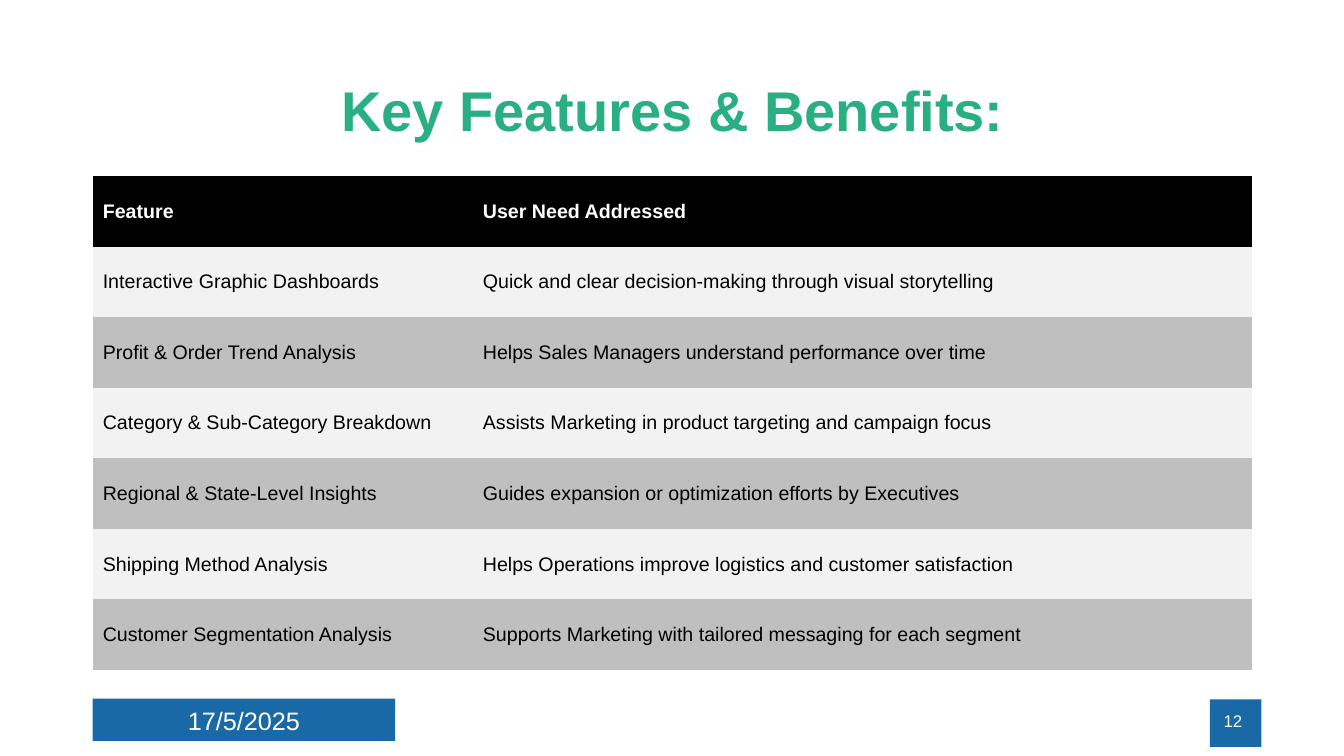
import pptx
import pptx.util
import pptx.dml.color
import pptx.enum.shapes
import pptx.enum.text
import pptx.oxml.ns

HUES = {"blue": "1869A6", "green": "2AAF82", "white": "FFFFFF",
        "black": "000000", "pale": "F2F2F2", "gray": "BFBFBF"}
ALIGN = pptx.enum.text.PP_ALIGN
MID = pptx.enum.text.MSO_ANCHOR.MIDDLE
PLAIN = "{2D5ABB26-0587-4C30-8999-92F81FD0307C}"  # no style, no grid

ROWS = [
    ("Feature", "User Need Addressed"),
    ("Interactive Graphic Dashboards",
     "Quick and clear decision-making through visual storytelling"),
    ("Profit & Order Trend Analysis",
     "Helps Sales Managers understand performance over time"),
    ("Category & Sub-Category Breakdown",
     "Assists Marketing in product targeting and campaign focus"),
    ("Regional & State-Level Insights",
     "Guides expansion or optimization efforts by Executives"),
    ("Shipping Method Analysis",
     "Helps Operations improve logistics and customer satisfaction"),
    ("Customer Segmentation Analysis",
     "Supports Marketing with tailored messaging for each segment"),
]


class Page:
    """Style and slide; lengths are percent of slide width and height."""

    font = "Arial"

    def __init__(self, deck):
        self.wide, self.high = deck.slide_width, deck.slide_height
        self.slide = deck.slides.add_slide(deck.slide_layouts[6])

    def box(self, x, y, w, h):
        return (round(x * self.wide / 100), round(y * self.high / 100),
                round(w * self.wide / 100), round(h * self.high / 100))

    def hue(self, name):
        return pptx.dml.color.RGBColor.from_string(HUES[name])

    def paint(self, item, name):
        item.fill.solid()
        item.fill.fore_color.rgb = self.hue(name)

    def put(self, frame, text, size, hue, bold=False, align=ALIGN.LEFT):
        frame.text = text
        para = frame.paragraphs[0]
        para.alignment = align
        font = para.runs[0].font
        font.name, font.size, font.bold = self.font, pptx.util.Pt(size), bold
        font.color.rgb = self.hue(hue)
        return para

    def block(self, area, hue):
        kind = pptx.enum.shapes.MSO_SHAPE.RECTANGLE
        shape = self.slide.shapes.add_shape(kind, *self.box(*area))
        shape.shadow.inherit = False
        shape.line.fill.background()
        self.paint(shape, hue)

    def label(self, area, text, size, hue, **look):
        frame = self.slide.shapes.add_textbox(*self.box(*area)).text_frame
        frame.word_wrap = True
        frame.vertical_anchor = MID
        return self.put(frame, text, size, hue, **look)

    def table(self, area, rows, split, size):
        place = self.box(*area)
        grid = self.slide.shapes.add_table(
            len(rows), len(rows[0]), *place).table
        style = pptx.oxml.ns.qn("a:tableStyleId")
        grid._tbl.tblPr.find(style).text = PLAIN
        for col, share in zip(grid.columns, split):
            col.width = round(place[2] * share / 100)
        for r, row in enumerate(rows):
            head = r == 0
            fill = "black" if head else ("gray", "pale")[r % 2]
            for c, text in enumerate(row):
                cell = grid.cell(r, c)
                cell.vertical_anchor = MID
                self.paint(cell, fill)
                self.put(cell.text_frame, text, size,
                         "white" if head else "black", bold=head)


def main():
    deck = pptx.Presentation()
    deck.slide_width = pptx.util.Inches(13.33)
    deck.slide_height = pptx.util.Inches(7.5)
    page = Page(deck)
    left, span = 6.9, 86.27

    # Footer blocks
    page.block((left, 92.4, 22.5, 5.6), "blue")
    page.block((90.02, 92.53, 3.83, 6.27), "blue")

    # Title
    title = page.label((left, 5.33, span, 19.33), "Key Features & Benefits:",
                       40, "green", bold=True, align=ALIGN.CENTER)
    title.line_spacing = 0.9

    # Page number and date
    page.label((70.67, 92.67, 22.5, 5.33), "12", 12, "white",
               align=ALIGN.RIGHT)
    page.label((left, 92.67, 22.5, 5.33), "17/5/2025", 18, "white",
               align=ALIGN.CENTER)

    # Feature table
    page.table((left, 23.33, span, 65.33), ROWS, (32.78, 67.22), 14)

    deck.save("out.pptx")


if __name__ == "__main__":
    main()
